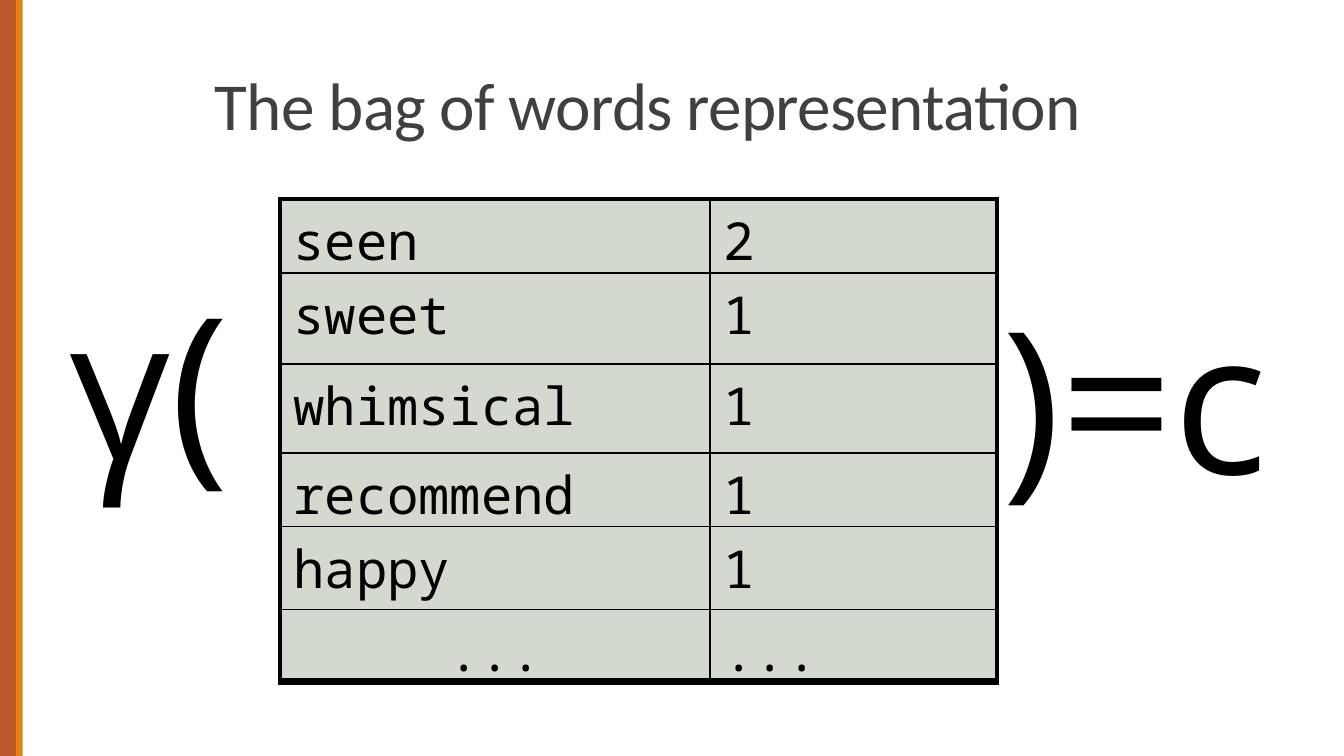
from lxml import etree
from pptx import Presentation
from pptx.dml.color import RGBColor
from pptx.enum.shapes import MSO_SHAPE
from pptx.enum.text import MSO_ANCHOR, PP_ALIGN
from pptx.oxml.ns import qn
from pptx.util import Pt

RECTANGLE = MSO_SHAPE.RECTANGLE
BOTTOM = MSO_ANCHOR.BOTTOM
CENTER = PP_ALIGN.CENTER

BLACK = RGBColor(0x00, 0x00, 0x00)
TITLE_GRAY = RGBColor(0x40, 0x40, 0x40)
BRICK = RGBColor(0xBD, 0x58, 0x2C)
ORANGE = RGBColor(0xE4, 0x83, 0x12)
SAGE = RGBColor(0xD4, 0xD9, 0xCF)

WORD_COUNTS = [
    ("seen", "2"),
    ("sweet", "1"),
    ("whimsical", "1"),
    ("recommend", "1"),
    ("happy", "1"),
    ("...", "..."),
]
COLUMN_WIDTHS = [230.4, 153.6]
ROW_HEIGHTS = [34, 49, 47.5, 32.5, 44.5, 39.5]
TABLE_LEFT, TABLE_TOP = 150, 106.5
OUTER_LINE, INNER_LINE = 2.25, 1


def format_run(paragraph, font_name, size, color):
    run = paragraph.runs[0]
    run.font.name = font_name
    run.font.size = Pt(size)
    run.font.color.rgb = color
    return run


def add_rectangle(slide, left, top, width, height, fill, line_width=None):
    shape = slide.shapes.add_shape(
        RECTANGLE, Pt(left), Pt(top), Pt(width), Pt(height))
    shape.shadow.inherit = False
    shape.fill.solid()
    shape.fill.fore_color.rgb = fill
    if line_width:
        shape.line.color.rgb = BLACK
        shape.line.width = Pt(line_width)
    else:
        shape.line.fill.background()


def add_text(slide, text, left, top, width, height, font_name, size, color,
             wrap=True):
    box = slide.shapes.add_textbox(Pt(left), Pt(top), Pt(width), Pt(height))
    frame = box.text_frame
    frame.word_wrap = wrap
    frame.text = text
    run = format_run(frame.paragraphs[0], font_name, size, color)
    return frame, run


def add_title(slide, text):
    frame, run = add_text(
        slide, text, 108, 22.5, 588, 58.5, "Calibri", 36, TITLE_GRAY)
    frame.vertical_anchor = BOTTOM
    frame.paragraphs[0].line_spacing = 0.85
    run.font._element.set("spc", "-40")


def set_border(cell, side, width):
    properties = cell._tc.get_or_add_tcPr()
    line = etree.SubElement(properties, qn(f"a:ln{side}"), w=str(Pt(width)))
    fill = etree.SubElement(line, qn("a:solidFill"))
    etree.SubElement(fill, qn("a:srgbClr"), val=str(BLACK))


def set_relative_space_before(paragraph, percent):
    """Space before as a share of the text size, which python-pptx lacks."""
    spacing = etree.Element(qn("a:spcBef"))
    etree.SubElement(spacing, qn("a:spcPct"), val=str(percent * 1000))
    paragraph._p.get_or_add_pPr().insert(0, spacing)


def fill_cell(cell, text, outer_sides):
    cell.margin_left = cell.margin_right = Pt(7.2)
    cell.margin_top = cell.margin_bottom = Pt(3)
    cell.text_frame.text = text
    paragraph = cell.text_frame.paragraphs[0]
    set_relative_space_before(paragraph, 20)
    format_run(paragraph, "Noto Sans Mono", 28, BLACK)
    for side in "LRTB":
        set_border(cell, side, OUTER_LINE if side in outer_sides else INNER_LINE)
    cell.fill.background()


def add_word_table(slide):
    row_count, column_count = len(ROW_HEIGHTS), len(COLUMN_WIDTHS)
    table = slide.shapes.add_table(
        row_count, column_count, Pt(TABLE_LEFT), Pt(TABLE_TOP),
        Pt(sum(COLUMN_WIDTHS)), Pt(sum(ROW_HEIGHTS))).table
    table.first_row = table.horz_banding = False
    for column, width in zip(table.columns, COLUMN_WIDTHS):
        column.width = Pt(width)
    for row, height in zip(table.rows, ROW_HEIGHTS):
        row.height = Pt(height)
    for row_index, texts in enumerate(WORD_COUNTS):
        vertical = {0: "T", row_count - 1: "B"}.get(row_index, "")
        for column_index, text in enumerate(texts):
            horizontal = "LR"[column_index]
            fill_cell(table.cell(row_index, column_index), text,
                      vertical + horizontal)
    last_word = table.cell(row_count - 1, 0).text_frame.paragraphs[0]
    last_word.alignment = CENTER


def main():
    presentation = Presentation()
    presentation.slide_width = Pt(720)
    presentation.slide_height = Pt(405)
    slide = presentation.slides.add_slide(presentation.slide_layouts[6])

    add_rectangle(slide, 0, 0, 12, 405, BRICK)
    add_rectangle(slide, 8.5, 0, 3.5, 405, ORANGE)
    add_title(slide, "The bag of words representation")
    add_rectangle(slide, TABLE_LEFT, TABLE_TOP, sum(COLUMN_WIDTHS), 258,
                  SAGE, OUTER_LINE)
    add_text(slide, "γ(", 30, 137, 114, 135.5, "Open Sans", 106, BLACK)
    add_text(slide, ")=c", 530, 144.5, 172, 135.5, "Open Sans", 106, BLACK,
             wrap=False)
    add_word_table(slide)
    presentation.save("out.pptx")


if __name__ == "__main__":
    main()
